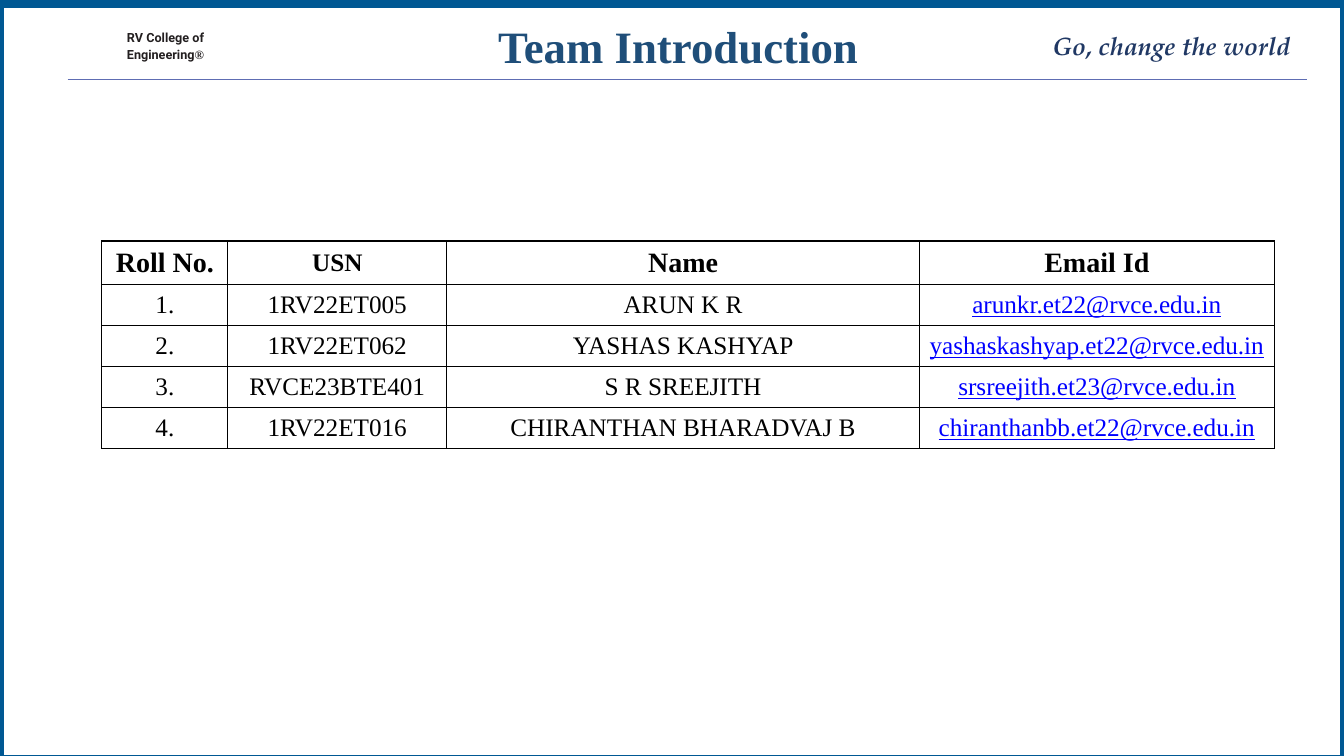
import dataclasses

import lxml.etree
import pptx
import pptx.dml.color
import pptx.enum.shapes
import pptx.enum.text
import pptx.oxml.ns
import pptx.util

ALIGN = pptx.enum.text.PP_ALIGN
ANCHOR = pptx.enum.text.MSO_ANCHOR


@dataclasses.dataclass(frozen=True)
class Theme:
    paper: str = "FFFFFF"
    border: str = "005893"
    rule: str = "5E6DB3"
    college: str = "231F20"
    title: str = "1F4E79"
    motto: str = "203864"
    ink: str = "000000"
    email: str = "0000FF"
    serif: str = "Times New Roman"
    sans: str = "Roboto"
    script: str = "TeX Gyre Pagella"
    title_size: int = 32
    heading_size: int = 20
    body_size: int = 18
    small_size: int = 9


THEME = Theme()
SLIDE_WIDTH = pptx.util.Inches(13.33)
SLIDE_HEIGHT = pptx.util.Inches(7.5)
INSET = pptx.util.Inches(0.05)

COLUMN_SHARES = (9.38, 16.28, 35.18, 26.4)
HEADER_SHARE = 5.8
ROW_SHARE = 5.43
HEADINGS = ("Roll No.", "USN", "Name", "Email Id")
MEMBERS = (
    ("1RV22ET005", "ARUN K R", "arunkr.et22@rvce.edu.in"),
    ("1RV22ET062", "YASHAS KASHYAP", "yashaskashyap.et22@rvce.edu.in"),
    ("RVCE23BTE401", "S R SREEJITH", "srsreejith.et23@rvce.edu.in"),
    ("1RV22ET016", "CHIRANTHAN BHARADVAJ B", "chiranthanbb.et22@rvce.edu.in"),
)


def across(percent):
    return round(SLIDE_WIDTH * percent / 100)


def down(percent):
    return round(SLIDE_HEIGHT * percent / 100)


def area(left, top, width, height):
    return across(left), down(top), across(width), down(height)


def color(value):
    return pptx.dml.color.RGBColor.from_string(value)


def write_text(frame, *lines, size=THEME.body_size, font=THEME.serif, ink=THEME.ink,
               bold=False, italic=False, underline=False, align=ALIGN.LEFT,
               spacing=1.0, inset=INSET):
    frame.word_wrap = True
    frame.margin_left = frame.margin_right = inset
    frame.margin_top = frame.margin_bottom = inset
    for index, line in enumerate(lines):
        para = frame.add_paragraph() if index else frame.paragraphs[0]
        para.alignment = align
        para.line_spacing = spacing
        para.space_before = pptx.util.Pt(0)
        span = para.add_run()
        span.text = line
        style_span(span, size, font, ink, bold, italic, underline)


def style_span(span, size, font, ink, bold, italic=False, underline=False):
    span.font.size = pptx.util.Pt(size)
    span.font.name = font
    span.font.color.rgb = color(ink)
    span.font.bold = bold
    span.font.italic = italic
    span.font.underline = underline


def add_label(page, place, *lines, **text_format):
    box = page.shapes.add_textbox(*place)
    write_text(box.text_frame, *lines, **text_format)
    return box


def add_border(page):
    border = page.shapes.add_shape(
        pptx.enum.shapes.MSO_SHAPE.RECTANGLE, *area(0, 0.5, 100, 100))
    border.shadow.inherit = False
    border.fill.solid()
    border.fill.fore_color.rgb = color(THEME.paper)
    border.line.color.rgb = color(THEME.border)
    border.line.width = pptx.util.Pt(6)
    page.shapes.title.element.addprevious(border.element)


def add_rule(page, start, end, height):
    rule = page.shapes.add_connector(
        pptx.enum.shapes.MSO_CONNECTOR.STRAIGHT,
        across(start), down(height), across(end), down(height))
    rule.line.color.rgb = color(THEME.rule)
    rule.line.width = pptx.util.Pt(1.25)
    lxml.etree.SubElement(rule.element.spPr, pptx.oxml.ns.qn("a:effectLst"))


def set_title(page, place, text):
    title = page.shapes.title
    title.left, title.top, title.width, title.height = place
    title.text_frame.auto_size = pptx.enum.text.MSO_AUTO_SIZE.NONE
    title.text_frame.vertical_anchor = ANCHOR.TOP
    write_text(title.text_frame, text, size=THEME.title_size, ink=THEME.title, bold=True)


def outline_cell(cell):
    properties = cell._tc.get_or_add_tcPr()
    for position, side in enumerate(("lnL", "lnR", "lnT", "lnB")):
        edge = lxml.etree.Element(
            pptx.oxml.ns.qn("a:" + side), w=str(pptx.util.Pt(1)))
        fill = lxml.etree.SubElement(edge, pptx.oxml.ns.qn("a:solidFill"))
        lxml.etree.SubElement(fill, pptx.oxml.ns.qn("a:srgbClr"), val=THEME.ink)
        properties.insert(position, edge)


def fill_cell(cell, text, **text_format):
    cell.fill.background()
    cell.vertical_anchor = ANCHOR.MIDDLE
    write_text(cell.text_frame, text, align=ALIGN.CENTER, **text_format)
    cell.margin_left = cell.margin_right = INSET
    cell.margin_top = cell.margin_bottom = INSET
    outline_cell(cell)


def add_team_table(page, left, top):
    height = HEADER_SHARE + ROW_SHARE * len(MEMBERS)
    table = page.shapes.add_table(
        len(MEMBERS) + 1, len(HEADINGS),
        *area(left, top, sum(COLUMN_SHARES), height)).table
    table.horz_banding = False
    for column, share in zip(table.columns, COLUMN_SHARES):
        column.width = across(share)
    for index, row in enumerate(table.rows):
        row.height = down(ROW_SHARE if index else HEADER_SHARE)
    for column, heading in enumerate(HEADINGS):
        size = THEME.body_size if heading == "USN" else THEME.heading_size
        fill_cell(table.cell(0, column), heading, size=size, bold=True)
    for number, member in enumerate(MEMBERS, 1):
        *details, email = (f"{number}.", *member)
        for column, text in enumerate(details):
            fill_cell(table.cell(number, column), text)
        fill_cell(table.cell(number, len(details)), email,
                  ink=THEME.email, underline=True)


def main():
    deck = pptx.Presentation()
    deck.slide_width, deck.slide_height = SLIDE_WIDTH, SLIDE_HEIGHT
    page = deck.slides.add_slide(deck.slide_layouts[5])
    add_border(page)
    add_rule(page, 5.03, 97.22, 10.53)
    college = add_label(page, area(9.45, 3.73, 9.83, 3.73),
                        "RV College of", "Engineering", size=THEME.small_size,
                        font=THEME.sans, ink=THEME.college, bold=True,
                        spacing=1.11, inset=0)
    mark = college.text_frame.paragraphs[-1].add_run()
    mark.text = "®"
    style_span(mark, THEME.small_size, THEME.serif, THEME.college, True)
    set_title(page, area(36.68, 1.87, 28.88, 8), "Team Introduction")
    add_label(page, area(75.92, 3.33, 20.93, 5.47), "Go, change the world ",
              font=THEME.script, ink=THEME.motto, bold=True, italic=True,
              align=ALIGN.RIGHT)
    add_team_table(page, 7.58, 31.87)
    deck.save("out.pptx")


if __name__ == "__main__":
    main()
